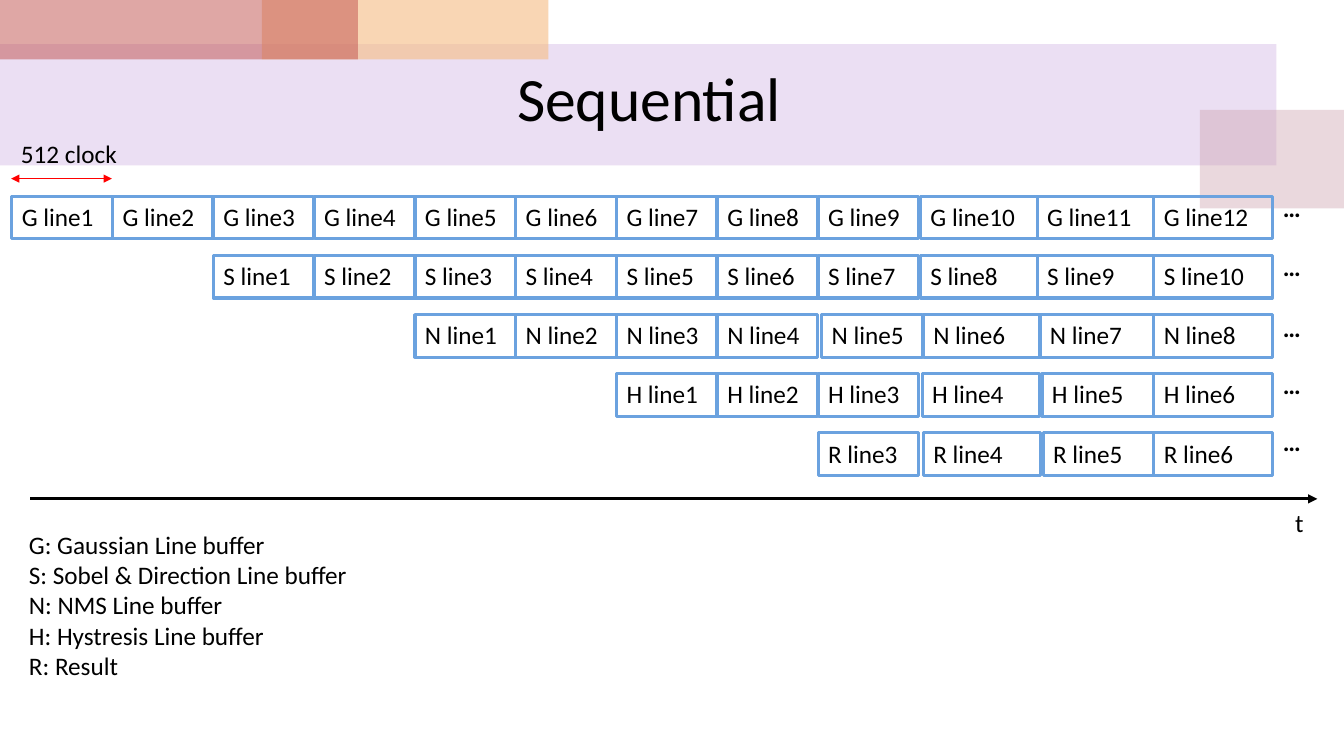
from pptx import Presentation
from pptx.dml.color import RGBColor
from pptx.enum.shapes import MSO_CONNECTOR as Connector, MSO_SHAPE as Shape
from pptx.enum.text import MSO_ANCHOR as Anchor, MSO_AUTO_SIZE as AutoSize, PP_ALIGN as Align
from pptx.oxml.ns import qn
from pptx.oxml.xmlchemy import OxmlElement
from pptx.util import Cm, Pt

COLORS = {
    "lilac": "BF98D8", "rose": "CC9EAC", "apricot": "F5BC83", "brick": "C0504D",
    "box": "6BA2DF", "ink": "000000", "clock": "FF0000",
}

# Left, top, width, height in cm, colour and opacity in percent
BACKDROPS = [
    (0, 1.11, 32.17, 3.06, "lilac", 30),
    (30.24, 2.77, 3.63, 2.48, "rose", 40),
    (6.6, 0, 7.22, 1.5, "apricot", 60),
    (0, 0, 9.02, 1.5, "brick", 50),
]

LEGEND = [
    "G: Gaussian Line buffer",
    "S: Sobel & Direction Line buffer",
    "N: NMS Line buffer",
    "H: Hystresis Line buffer",
    "R: Result",
]

# Nine equal time slots, then three wider ones
SLOT_LEFTS = [0.3 + 2.54 * slot for slot in range(9)] + [23.2, 26.14, 29.08]
SLOT_WIDTHS = [2.53] * 9 + [2.95, 2.94, 2.98]
ROW_TOP, ROW_PITCH, ROW_HEIGHT = 4.95, 1.49, 1.07

# Stage letter, first slot, first line number, top of the dots, slots that start late
STAGES = [
    ("G", 0, 1, 4.72, {}),
    ("S", 2, 1, 6.22, {}),
    ("N", 4, 1, 7.75, {8: 0.09, 9: 0.07, 10: 0.07}),
    ("H", 6, 1, 9.17, {9: 0.04, 10: 0.12}),
    ("R", 8, 3, 10.62, {9: 0.07, 10: 0.15}),
]


class Slide:
    font = "Calibri"
    size = 18

    def __init__(self, deck):
        self.page = deck.slides.add_slide(deck.slide_layouts[6])

    def color(self, name):
        return RGBColor.from_string(COLORS[name])

    def set_text(self, box, text, size=None, bold=False, anchor=Anchor.TOP, spacing=None, grow=True):
        """Fill a box with one paragraph for each line of the text."""
        frame = box.text_frame
        frame.word_wrap = True
        frame.vertical_anchor = anchor
        frame.auto_size = AutoSize.SHAPE_TO_FIT_TEXT if grow else AutoSize.NONE
        for index, line in enumerate(text.split("\n")):
            para = frame.add_paragraph() if index else frame.paragraphs[0]
            para.alignment = Align.LEFT
            if spacing:
                para.line_spacing = spacing
            span = para.add_run()
            span.text = line
            span.font.name = self.font
            span.font.size = Pt(size or self.size)
            span.font.bold = bold
            span.font.color.rgb = self.color("ink")

    def label(self, left, top, width, height, text, **style):
        box = self.page.shapes.add_textbox(Cm(left), Cm(top), Cm(width), Cm(height))
        self.set_text(box, text, **style)

    def rectangle(self, left, top, width, height):
        box = self.page.shapes.add_shape(
            Shape.RECTANGLE, Cm(left), Cm(top), Cm(width), Cm(height))
        box.shadow.inherit = False
        return box

    def backdrop(self, left, top, width, height, color, opacity):
        box = self.rectangle(left, top, width, height)
        box.line.fill.background()
        box.fill.solid()
        box.fill.fore_color.rgb = self.color(color)
        alpha = OxmlElement("a:alpha")
        alpha.set("val", str(opacity * 1000))
        box.element.spPr.find(".//" + qn("a:srgbClr")).append(alpha)

    def line_box(self, left, top, width, text):
        box = self.rectangle(left, top, width, ROW_HEIGHT)
        box.fill.background()
        box.line.color.rgb = self.color("box")
        box.line.width = Pt(2.25)
        self.set_text(box, text)

    def arrow(self, left, right, top, color, weight, ends):
        """Draw a level arrow; ends names the tags that get a head."""
        arrow = self.page.shapes.add_connector(
            Connector.STRAIGHT, Cm(left), Cm(top), Cm(right), Cm(top))
        arrow.line.color.rgb = self.color(color)
        arrow.line.width = Pt(weight)
        outline = arrow.element.spPr.find(qn("a:ln"))
        for tag in ends:
            end = OxmlElement(tag)
            end.set("type", "triangle")
            outline.append(end)
        arrow.element.spPr.append(OxmlElement("a:effectLst"))

    def stage(self, row, letter, first_slot, first_number, dots_top, delays):
        """Draw one row of the pipeline and the dots that end it."""
        top = ROW_TOP + ROW_PITCH * row
        for number, slot in enumerate(range(first_slot, len(SLOT_LEFTS)), first_number):
            delay = delays.get(slot, 0)
            width = SLOT_WIDTHS[slot] - (delay if slot == 10 else 0)
            self.line_box(SLOT_LEFTS[slot] + delay, top, width, f"{letter} line{number}")
        self.label(32.08, dots_top, 1.3, ROW_HEIGHT, "…", bold=True)


def main():
    deck = Presentation()
    deck.slide_width, deck.slide_height = Cm(33.87), Cm(19.05)
    slide = Slide(deck)
    for backdrop in BACKDROPS:
        slide.backdrop(*backdrop)
    slide.label(0.48, 13.21, 17.6, 4.11, "\n".join(LEGEND))
    slide.label(12.78, 1.5, 8.13, 2.11, "Sequential", size=44,
                anchor=Anchor.MIDDLE, spacing=0.9, grow=False)
    for row, stage in enumerate(STAGES):
        slide.stage(row, *stage)
    slide.arrow(0.76, 33.2, 12.57, "ink", 2.25, ["a:tailEnd"])
    slide.label(32.39, 12.65, 1.27, ROW_HEIGHT, "t")
    slide.arrow(0.28, 2.82, 4.5, "clock", 0.75, ["a:headEnd", "a:tailEnd"])
    slide.label(0.28, 3.35, 3.25, ROW_HEIGHT, "512 clock")
    deck.save("out.pptx")


if __name__ == "__main__":
    main()
